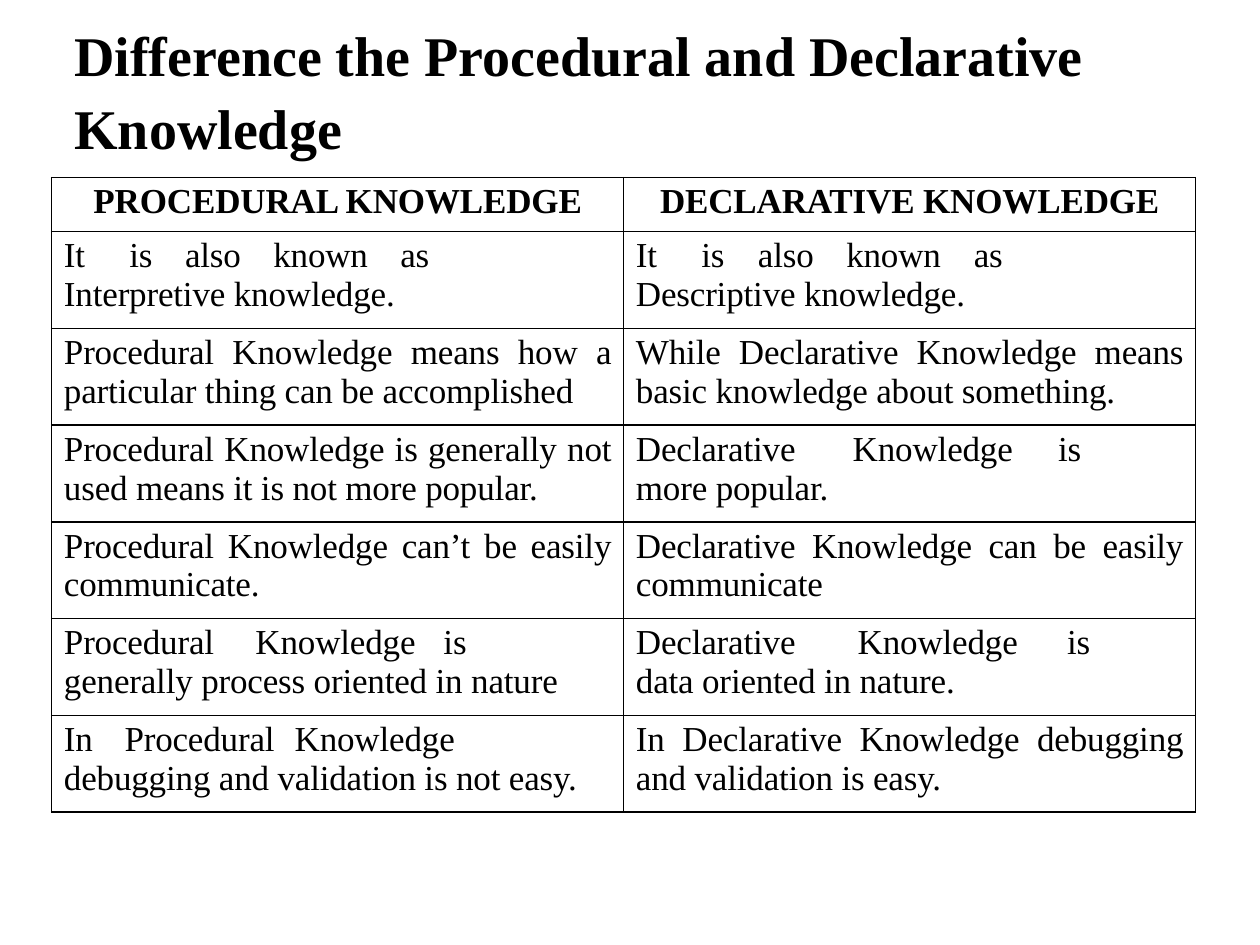
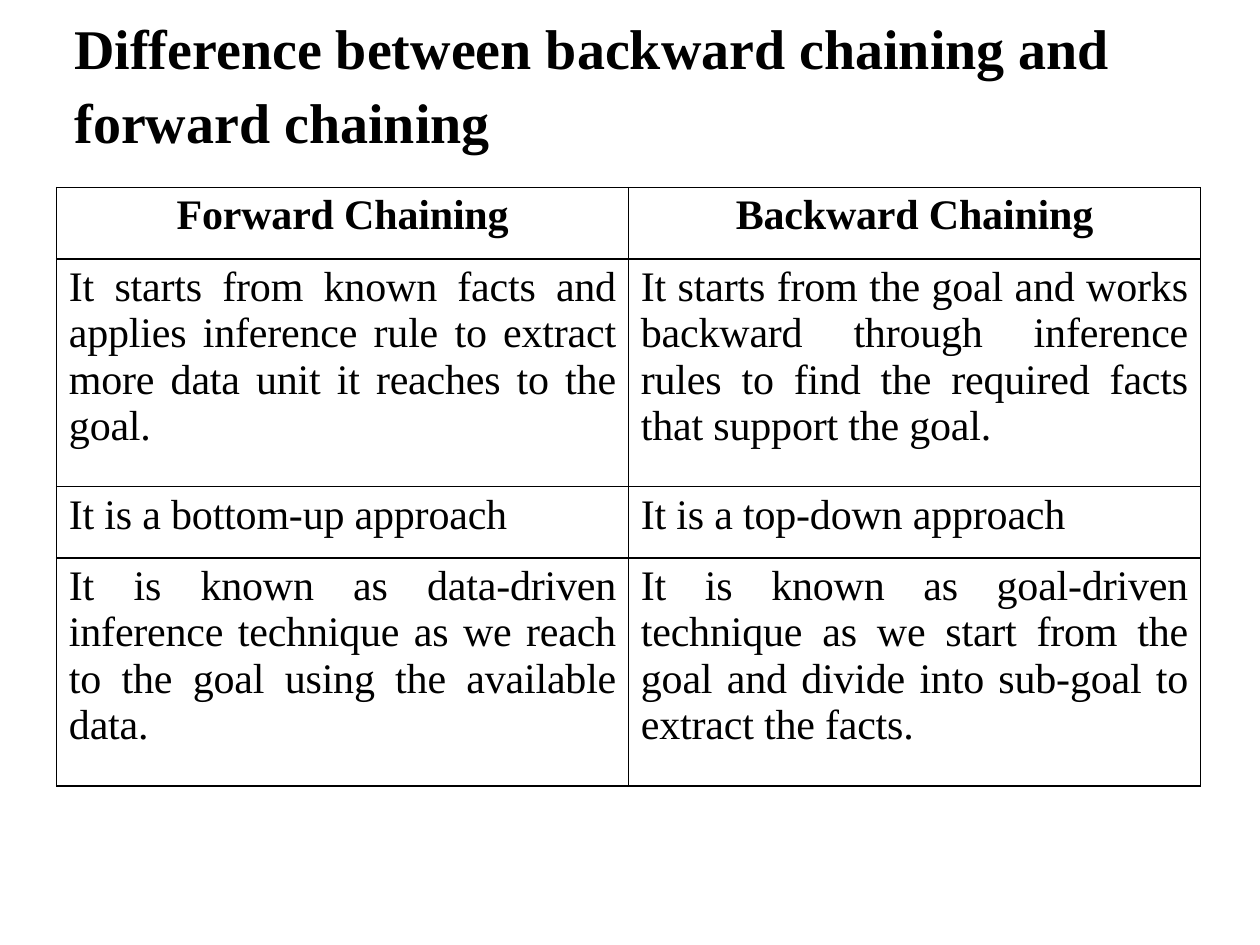
from lxml.etree import SubElement
from pptx import Presentation
from pptx.dml.color import RGBColor
from pptx.enum.text import PP_ALIGN
from pptx.oxml.ns import qn
from pptx.util import Cm, Pt

FONT = "Times New Roman"
COLORS = {"ink": "000000", "paper": "FFFFFF"}
COLUMN_WIDTH = 11.53
CELL_PADDING = 0.25

# Each cell is its text, or its text with tab stops in cm.
SLIDES = [
    {
        "title": "Difference the Procedural and Declarative Knowledge",
        "title_box": (1.5, 0.25, 20.42, 2.8),
        "table_at": (1.04, 3.58),
        "size": 20,
        "row_heights": [1.09] + [1.95] * 6,
        "rows": [
            ("PROCEDURAL KNOWLEDGE", "DECLARATIVE KNOWLEDGE"),
            (("It\tis\talso\tknown\tas\tInterpretive knowledge.",
              (1.32, 2.44, 4.22, 6.78, 8)),
             ("It\tis\talso\tknown\tas\tDescriptive knowledge.",
              (1.32, 2.46, 4.24, 6.81, 8.03))),
            ("Procedural Knowledge means how a particular thing can be accomplished",
             "While Declarative Knowledge means basic knowledge about something."),
            ("Procedural Knowledge is generally not used means it is not more popular.",
             ("Declarative\tKnowledge\tis\tmore popular.", (4.37, 8.51, 9.83))),
            ("Procedural Knowledge can’t be easily communicate.",
             "Declarative Knowledge can be easily communicate"),
            (("Procedural\tKnowledge\tis\tgenerally process oriented in nature",
              (3.86, 7.65, 8.66)),
             ("Declarative\tKnowledge\tis\tdata oriented in nature.",
              (4.47, 8.69, 10.11))),
            (("In\tProcedural\tKnowledge\tdebugging and validation is not easy.",
              (1.22, 4.65, 8.31)),
             "In Declarative Knowledge debugging and validation is easy."),
        ],
    },
    {
        "title": "Difference between backward chaining and forward chaining",
        "title_box": (1.5, 0.12, 20.93, 2.8),
        "table_at": (1.14, 3.78),
        "size": 24,
        "row_heights": [1.44, 4.59] * 2,
        "rows": [
            ("Forward Chaining", "Backward Chaining"),
            ("It starts from known facts and applies inference rule to extract "
             "more data unit it reaches to the goal.",
             "It starts from the goal and works backward through inference rules "
             "to find the required facts that support the goal."),
            ("It is a bottom-up approach", "It is a top-down approach"),
            ("It is known as data-driven inference technique as we reach to the "
             "goal using the available data.",
             "It is known as goal-driven technique as we start from the goal and "
             "divide into sub-goal to extract the facts."),
        ],
    },
]


def write(tf, text, size, bold=False, align=PP_ALIGN.LEFT, tabs=(), spacing=None, tracking=-10):
    """Fill a text frame; tabs are in cm, tracking in hundredths of a point."""
    tf.word_wrap = True
    p = tf.paragraphs[0]
    if tabs:
        tab_list = SubElement(p._p.get_or_add_pPr(), qn("a:tabLst"))
        for stop in tabs:
            SubElement(tab_list, qn("a:tab"), pos=str(Cm(stop)), algn="l")
    p.alignment = align
    if spacing:
        p.line_spacing = spacing
    r = p.add_run()
    r.text = text
    r.font.name = FONT
    r.font.size = Pt(size)
    r.font.bold = bold
    r.font.color.rgb = RGBColor.from_string(COLORS["ink"])
    r._r.get_or_add_rPr().set("spc", str(tracking))


def add_borders(cell):
    tc_pr = cell._tc.get_or_add_tcPr()
    for side in ("lnL", "lnR", "lnT", "lnB"):
        line = SubElement(tc_pr, qn(f"a:{side}"), w=str(Pt(1)))
        fill = SubElement(line, qn("a:solidFill"))
        SubElement(fill, qn("a:srgbClr"), val=COLORS["ink"])


def add_title(s, text, box):
    tf = s.shapes.add_textbox(*map(Cm, box)).text_frame
    tf.margin_left = tf.margin_right = tf.margin_bottom = 0
    tf.margin_top = Cm(0.04)
    write(tf, text, 32, bold=True, spacing=1.09, tracking=0)


def add_comparison(s, rows, at, row_heights, size):
    frame = s.shapes.add_table(len(rows), 2, *map(Cm, at),
                               Cm(2 * COLUMN_WIDTH), Cm(sum(row_heights)))
    table = frame.table
    table.first_row = table.horz_banding = False
    for column in table.columns:
        column.width = Cm(COLUMN_WIDTH)
    for i, (row, height) in enumerate(zip(rows, row_heights)):
        table.rows[i].height = Cm(height)
        for j, content in enumerate(row):
            text, tabs = (content, ()) if isinstance(content, str) else content
            cell = table.cell(i, j)
            cell.margin_left = cell.margin_right = Cm(CELL_PADDING)
            cell.margin_top, cell.margin_bottom = Cm(0.1), 0
            add_borders(cell)
            cell.fill.background()
            if i == 0:
                align = PP_ALIGN.CENTER
            else:
                align = PP_ALIGN.LEFT if tabs else PP_ALIGN.JUSTIFY
            write(cell.text_frame, text, size, bold=i == 0, align=align, tabs=tabs)


def main():
    prs = Presentation()
    prs.slide_width, prs.slide_height = Cm(25.4), Cm(19.05)
    for content in SLIDES:
        s = prs.slides.add_slide(prs.slide_layouts[6])
        s.background.fill.solid()
        s.background.fill.fore_color.rgb = RGBColor.from_string(COLORS["paper"])
        add_title(s, content["title"], content["title_box"])
        add_comparison(s, content["rows"], content["table_at"],
                       content["row_heights"], content["size"])
    prs.save("out.pptx")


if __name__ == "__main__":
    main()
